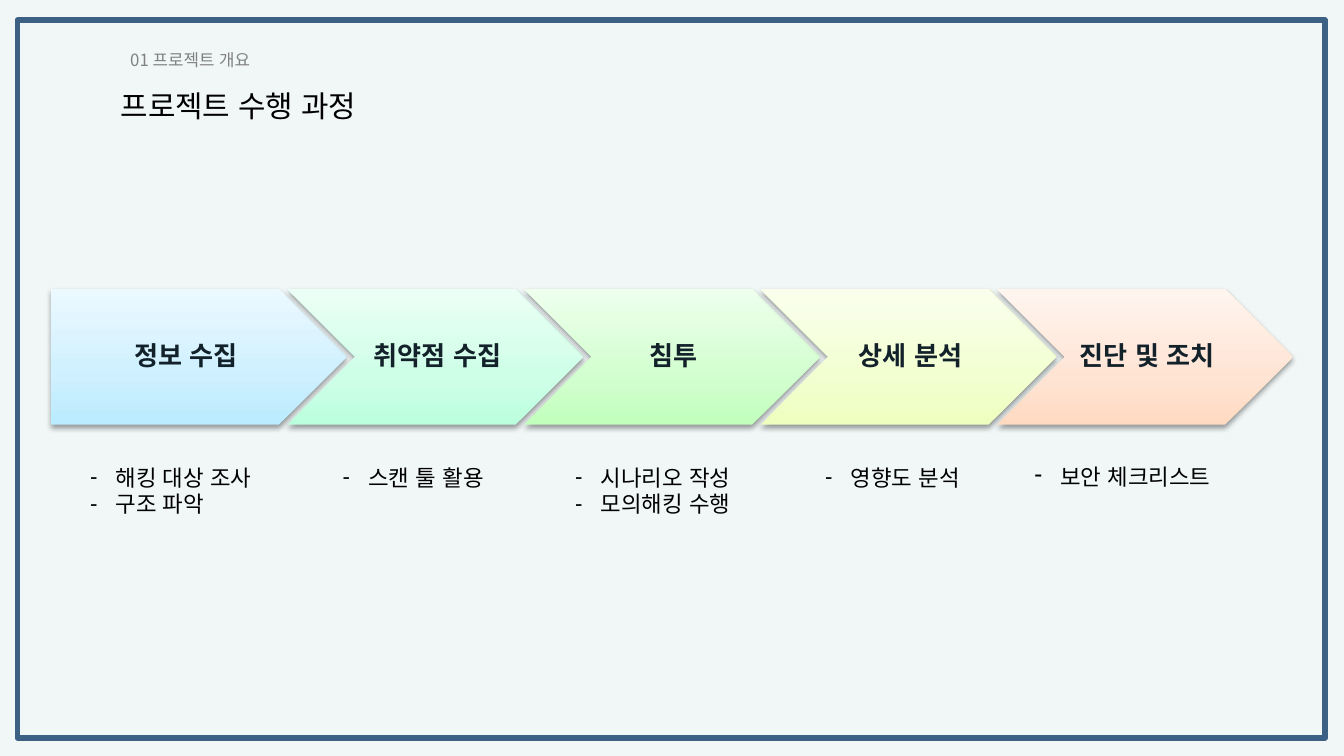
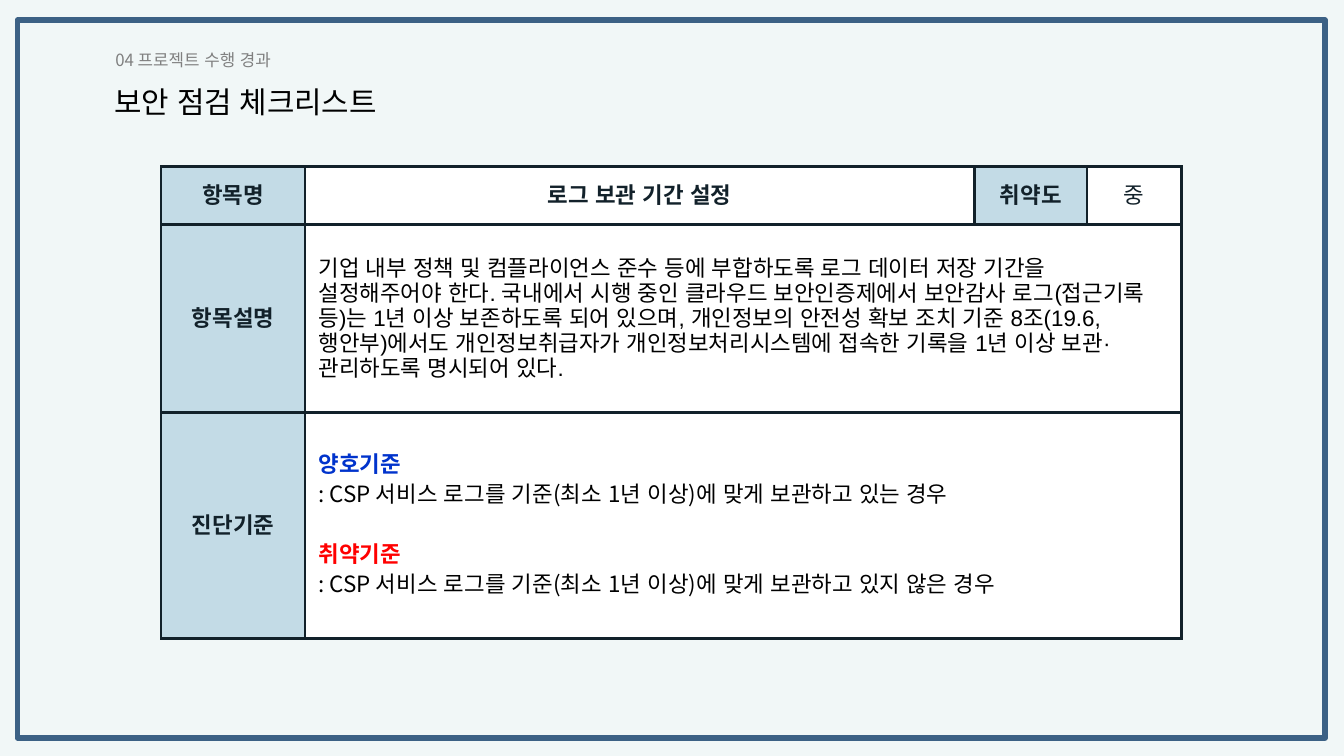
"""Build two project slides: the process chevrons and the security checklist."""
from dataclasses import dataclass
from typing import Any

from lxml import etree
from pptx import Presentation
from pptx import util as u
from pptx.dml.color import RGBColor
from pptx.enum import shapes, text
from pptx.oxml import parse_xml
from pptx.oxml.ns import nsdecls, qn

PAPER = RGBColor(0xF1, 0xF7, 0xF7)
FRAME = RGBColor(0x3C, 0x61, 0x85)
INK = RGBColor(0x12, 0x21, 0x2A)
BLACK = RGBColor(0, 0, 0)
WHITE = RGBColor(0xFF, 0xFF, 0xFF)
GRAY = RGBColor(0x80, 0x80, 0x80)
LABEL = RGBColor(0xC3, 0xDB, 0xE6)
GOOD = RGBColor(0, 0x33, 0xCC)
WEAK = RGBColor(0xFF, 0, 0)

LATIN, KOREAN = "Arial", "Noto Sans CJK KR"
LEFT, CENTER = text.PP_ALIGN.LEFT, text.PP_ALIGN.CENTER
TOP, MIDDLE = text.MSO_ANCHOR.TOP, text.MSO_ANCHOR.MIDDLE

PAGE_WIDTH = u.Inches(10)
PAGE_HEIGHT = PAGE_WIDTH * 9 // 16
TITLE_ONLY, COMPARISON = 5, 4
STEP_LEFT, STEP_TOP, STEP_WIDTH, STEP_HEIGHT = 0.38, 2.15, 2.2, 1.01
STEP_PITCH, LIST_TOP = 1.76, 3.4
COLUMNS, ROWS = (1.07, 4.98, 0.84, 0.7), (0.43, 1.4, 1.68)


@dataclass(frozen=True)
class Area:
    left: float
    top: float
    width: float
    height: float

    def lengths(self) -> list[u.Length]:
        return [u.Inches(n) for n in (self.left, self.top, self.width, self.height)]


@dataclass(frozen=True)
class Line:
    words: str
    size: float = 12
    color: RGBColor = BLACK
    bold: bool = False
    font: str = LATIN
    before: float = 0


@dataclass(frozen=True)
class Heading:
    section: str
    section_width: float
    section_align: Any
    title: str
    title_area: Area
    title_inset: float


@dataclass(frozen=True)
class Step:
    name: str
    tints: tuple[str, str, str]
    list_left: float
    list_width: float
    list_height: float
    tasks: tuple[str, ...]


@dataclass(frozen=True)
class Entry:
    row: int
    column: int
    lines: tuple[Line, ...]
    fill: RGBColor = WHITE
    align: Any = CENTER


def label(words: str, bold: bool = True) -> tuple[Line, ...]:
    return (Line(words, color=INK, bold=bold),)


HEADINGS = (
    Heading("01 프로젝트 개요", 1.31, CENTER,
            "프로젝트 수행 과정", Area(0.8, 0.55, 2.65, 0.3), 0.1),
    Heading("04 프로젝트 수행 경과", 1.94, LEFT,
            "보안 점검 체크리스트", Area(0.75, 0.57, 2.4, 0.37), 0.05),
)

STEPS = (
    Step("정보 수집", ("BAEBFF", "CEF0FF", "ECF9FF"), 0.57, 1.5, 0.5,
         ("해킹 대상 조사", "구조 파악")),
    Step("취약점 수집", ("BBFFDE", "CEFFE7", "ECFFF6"), 2.45, 1.33, 0.3,
         ("스캔 툴 활용",)),
    Step("침투", ("C1FFBC", "D2FFCF", "EEFFED"), 4.18, 1.45, 0.71,
         ("시나리오 작성", "모의해킹 수행")),
    Step("상세 분석", ("EDFFBE", "F2FFD1", "FAFFED"), 6.04, 1.28, 0.3,
         ("영향도 분석",)),
    Step("진단 및 조치", ("FFDAC1", "FFE4D4", "FFF5EF"), 7.6, 1.66, 0.5,
         ("보안 체크리스트",)),
)

ENTRIES = (
    Entry(0, 0, label("항목명"), LABEL),
    Entry(0, 1, label("로그 보관 기간 설정")),
    Entry(0, 2, label("취약도"), LABEL),
    Entry(0, 3, label("중", bold=False)),
    Entry(1, 0, label("항목설명"), LABEL),
    Entry(1, 1, (Line(
        "기업 내부 정책 및 컴플라이언스 준수 등에 부합하도록 로그 데이터 저장 기간을 "
        "설정해주어야 한다. 국내에서 시행 중인 클라우드 보안인증제에서 보안감사 "
        "로그(접근기록 등)는 1년 이상 보존하도록 되어 있으며, 개인정보의 안전성 확보 "
        "조치 기준 8조(19.6, 행안부)에서도 개인정보취급자가 개인정보처리시스템에 "
        "접속한 기록을 1년 이상 보관·관리하도록 명시되어 있다."),), align=LEFT),
    Entry(2, 0, label("진단기준"), LABEL),
    Entry(2, 1, (
        Line("양호기준", color=GOOD, bold=True, font=KOREAN),
        Line(": CSP 서비스 로그를 기준(최소 1년 이상)에 맞게 보관하고 있는 경우",
             font=KOREAN),
        Line("취약기준", color=WEAK, bold=True, font=KOREAN, before=17.4),
        Line(": CSP 서비스 로그를 기준(최소 1년 이상)에 맞게 보관하고 있지 않은 경우",
             font=KOREAN),
    ), align=LEFT),
)


def apply(target: Any, values: dict[str, Any]) -> None:
    for name, value in values.items():
        setattr(target, name, value)


def margins(left: float, top: float, right: float, bottom: float) -> dict[str, Any]:
    sides = ("left", "top", "right", "bottom")
    return {f"margin_{side}": u.Inches(size)
            for side, size in zip(sides, (left, top, right, bottom))}


def place(box: Any, area: Area) -> None:
    apply(box, dict(zip(("left", "top", "width", "height"), area.lengths())))


def add_dash(para: Any) -> None:
    props = para._p.get_or_add_pPr()
    props.set("marL", str(u.Inches(0.19)))
    props.set("indent", str(u.Inches(-0.19)))
    color = etree.SubElement(props, qn("a:buClr"))
    etree.SubElement(color, qn("a:srgbClr"), val=str(BLACK))
    etree.SubElement(props, qn("a:buChar"), char="-")


def write(frame: Any, lines: tuple[Line, ...], align: Any = LEFT,
          spacing: Any = 1.0, dashed: bool = False) -> None:
    for index, line in enumerate(lines):
        para = frame.add_paragraph() if index else frame.paragraphs[0]
        if dashed:
            add_dash(para)
        apply(para, {"alignment": align, "line_spacing": spacing,
                     "space_before": u.Pt(line.before), "space_after": u.Pt(0)})
        span = para.add_run()
        span.text = line.words
        apply(span.font, {"name": line.font, "size": u.Pt(line.size),
                          "bold": line.bold})
        span.font.color.rgb = line.color
        etree.SubElement(span._r.get_or_add_rPr(), qn("a:ea"), typeface=LATIN)


def format_frame(box: Any, inset: dict[str, Any], anchor: Any = TOP) -> Any:
    frame = box.text_frame
    apply(frame, {"word_wrap": True, "auto_size": text.MSO_AUTO_SIZE.NONE,
                  "vertical_anchor": anchor, **inset})
    return frame


def start_page(deck: Any, layout: int, heading: Heading) -> Any:
    page = deck.slides.add_slide(deck.slide_layouts[layout])
    border = page.shapes.add_shape(shapes.MSO_SHAPE.RECTANGLE,
                                   *Area(0.13, 0.15, 9.73, 5.34).lengths())
    border.shadow.inherit = False
    border.fill.background()
    border.line.color.rgb = FRAME
    border.line.width = u.Pt(3)

    title = page.shapes.title
    place(title, heading.title_area)
    inset = heading.title_inset
    frame = format_frame(title, margins(0.1, inset, 0.1, inset))
    write(frame, (Line(heading.title, 16, font=KOREAN),))

    section = page.shapes.add_textbox(
        *Area(0.76, 0.27, heading.section_width, 0.3).lengths())
    frame = format_frame(section, margins(0.1, 0.1, 0.1, 0.1))
    write(frame, (Line(heading.section, 9, GRAY, font=KOREAN),), heading.section_align)
    return page


def shade(arrow: Any, tints: tuple[str, str, str]) -> None:
    stops = "".join(f'<a:gs pos="{place_at}"><a:srgbClr val="{tint}"/></a:gs>'
                    for place_at, tint in zip((0, 35000, 100000), tints))
    props = arrow._element.spPr
    props.append(parse_xml(
        f'<a:gradFill {nsdecls("a")} rotWithShape="1"><a:gsLst>{stops}</a:gsLst>'
        '<a:lin ang="16200000" scaled="0"/></a:gradFill>'))
    arrow.line.fill.background()
    props.append(parse_xml(
        f'<a:effectLst {nsdecls("a")}><a:outerShdw blurRad="{u.Pt(3.1)}" '
        f'dist="{u.Pt(1.6)}" dir="5400000" rotWithShape="0"><a:srgbClr val="000000">'
        '<a:alpha val="38000"/></a:srgbClr></a:outerShdw></a:effectLst>'))


def draw_step(group: Any, index: int, step: Step) -> None:
    left = STEP_LEFT + index * STEP_PITCH
    kind = shapes.MSO_SHAPE.CHEVRON if index else shapes.MSO_SHAPE.PENTAGON
    arrow = group.shapes.add_shape(
        kind, *Area(left, STEP_TOP, STEP_WIDTH, STEP_HEIGHT).lengths())
    shade(arrow, step.tints)
    shift, width, inset = (0.5, 1.19, 0.06) if index else (0, 1.95, 0.08)
    box = group.shapes.add_textbox(
        *Area(left + shift, STEP_TOP, width, STEP_HEIGHT).lengths())
    frame = format_frame(box, margins(inset, 0.04, 0.02, 0.04), MIDDLE)
    write(frame, (Line(step.name, 14, INK, True),), CENTER, 0.9)


def build_process(deck: Any) -> None:
    page = start_page(deck, COMPARISON, HEADINGS[0])
    bodies = list(page.placeholders)[1:]
    group = page.shapes.add_group_shape()
    for index, step in enumerate(STEPS):
        draw_step(group, index, step)
        area = Area(step.list_left, LIST_TOP, step.list_width, step.list_height)
        box = bodies.pop(0) if bodies else page.shapes.add_textbox(*area.lengths())
        place(box, area)
        frame = format_frame(box, margins(0.1, 0.05, 0.1, 0.05))
        write(frame, tuple(Line(task) for task in step.tasks),
              spacing=u.Pt(14.4), dashed=True)


def draw_borders(cell: Any) -> None:
    props = cell._tc.get_or_add_tcPr()
    for index, side in enumerate(("lnL", "lnR", "lnT", "lnB")):
        props.insert(index, parse_xml(
            f'<a:{side} {nsdecls("a")} w="{u.Pt(1.5)}"><a:solidFill>'
            f'<a:srgbClr val="{INK}"/></a:solidFill></a:{side}>'))


def build_checklist(deck: Any) -> None:
    page = start_page(deck, TITLE_ONLY, HEADINGS[1])
    area = Area(1.2, 1.24, sum(COLUMNS), sum(ROWS))
    table = page.shapes.add_table(len(ROWS), len(COLUMNS), *area.lengths()).table
    apply(table, {"first_row": False, "horz_banding": False})
    for column, width in zip(table.columns, COLUMNS):
        column.width = u.Inches(width)
    for row, height in zip(table.rows, ROWS):
        row.height = u.Inches(height)
    for row in (1, 2):
        table.cell(row, 1).merge(table.cell(row, 3))
    for cell in table.iter_cells():
        cell.fill.solid()
        cell.fill.fore_color.rgb = WHITE
        draw_borders(cell)
    for entry in ENTRIES:
        cell = table.cell(entry.row, entry.column)
        apply(cell, {"vertical_anchor": MIDDLE, **margins(0.1, 0, 0.1, 0)})
        cell.fill.fore_color.rgb = entry.fill
        write(cell.text_frame, entry.lines, entry.align)


def main() -> None:
    deck = Presentation()
    apply(deck, {"slide_width": PAGE_WIDTH, "slide_height": PAGE_HEIGHT})
    backdrop = deck.slide_master.background.fill
    backdrop.solid()
    backdrop.fore_color.rgb = PAPER
    build_process(deck)
    build_checklist(deck)
    deck.save("out.pptx")


if __name__ == "__main__":
    main()
